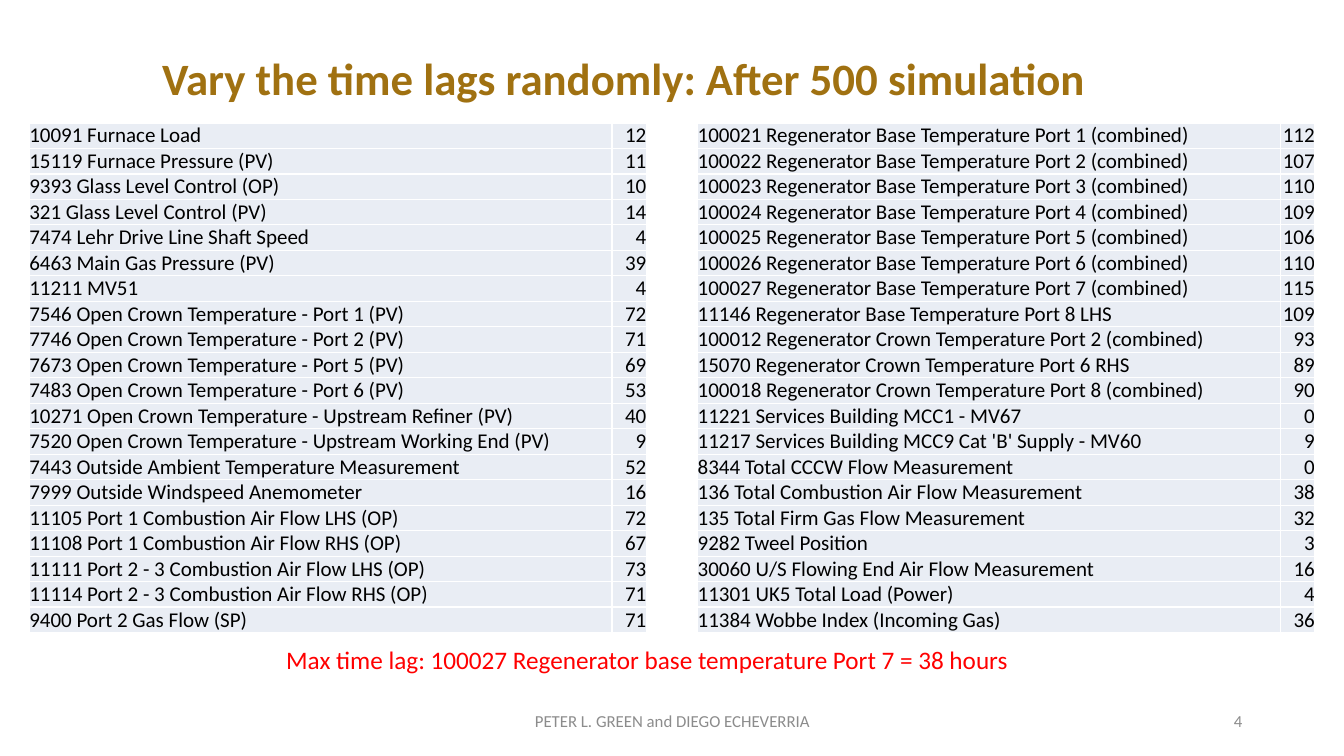
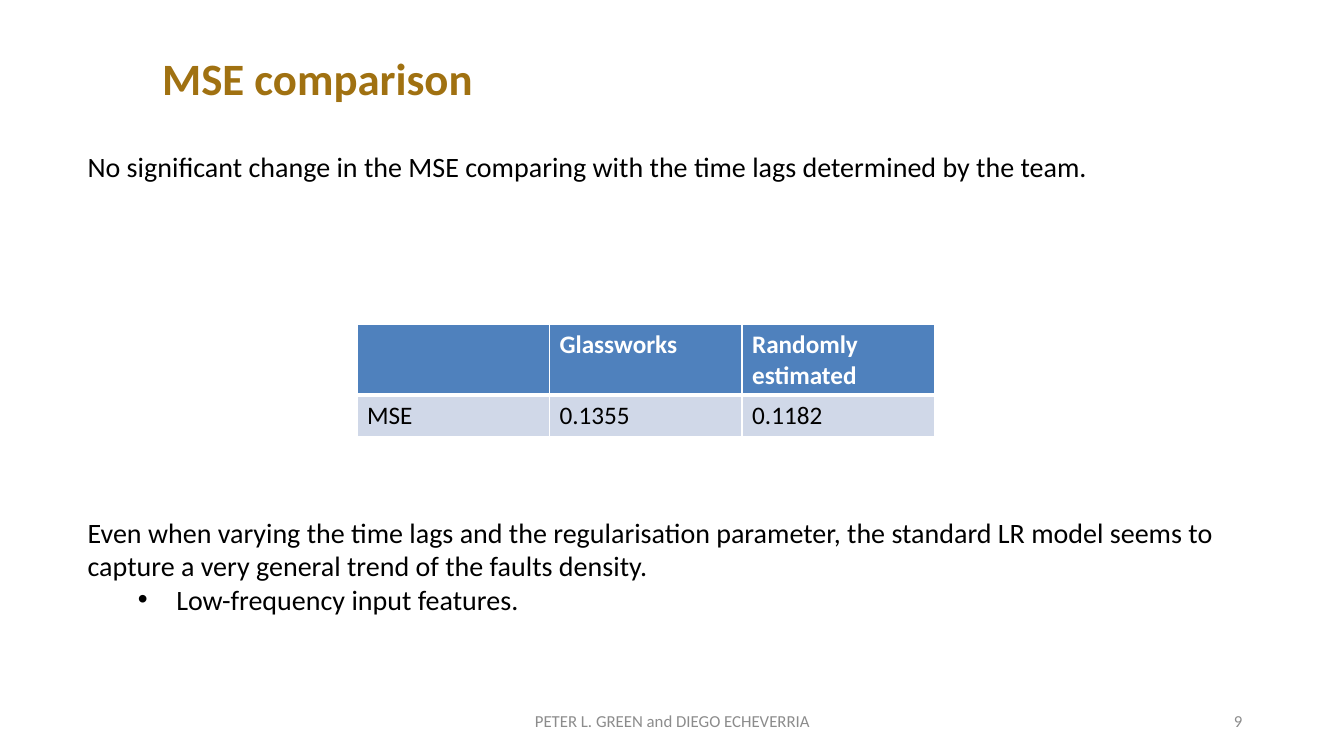
from lxml import etree
from pptx import Presentation
from pptx import util as u
from pptx.dml.color import RGBColor
from pptx.enum import text
from pptx.oxml.ns import qn

FONT = "Calibri"
COLORS = {
    "title": "A07111", "body": "000000", "footer": "8C8C8C", "alert": "FF0000",
    "white": "FFFFFF", "lag": "E9EDF4", "header": "4F81BD", "row": "D0D8E8",
}
LEFT, CENTER, RIGHT = text.PP_ALIGN.LEFT, text.PP_ALIGN.CENTER, text.PP_ALIGN.RIGHT
TOP, MIDDLE, BOTTOM = (text.MSO_ANCHOR.TOP, text.MSO_ANCHOR.MIDDLE,
                       text.MSO_ANCHOR.BOTTOM)

AUTHORS = "PETER L. GREEN and DIEGO ECHEVERRIA"
LAGS = [
    ("10091 Furnace Load", 12),
    ("15119 Furnace Pressure (PV)", 11),
    ("9393 Glass Level Control (OP)", 10),
    ("321 Glass Level Control (PV)", 14),
    ("7474 Lehr Drive Line Shaft Speed", 4),
    ("6463 Main Gas Pressure (PV)", 39),
    ("11211 MV51", 4),
    ("7546 Open Crown Temperature - Port 1 (PV)", 72),
    ("7746 Open Crown Temperature - Port 2 (PV)", 71),
    ("7673 Open Crown Temperature - Port 5 (PV)", 69),
    ("7483 Open Crown Temperature - Port 6 (PV)", 53),
    ("10271 Open Crown Temperature - Upstream Refiner (PV)", 40),
    ("7520 Open Crown Temperature - Upstream Working End (PV)", 9),
    ("7443 Outside Ambient Temperature Measurement", 52),
    ("7999 Outside Windspeed Anemometer", 16),
    ("11105 Port 1 Combustion Air Flow LHS (OP)", 72),
    ("11108 Port 1 Combustion Air Flow RHS (OP)", 67),
    ("11111 Port 2 - 3 Combustion Air Flow LHS (OP)", 73),
    ("11114 Port 2 - 3 Combustion Air Flow RHS (OP)", 71),
    ("9400 Port 2 Gas Flow (SP)", 71),
    ("100021 Regenerator Base Temperature Port 1 (combined)", 112),
    ("100022 Regenerator Base Temperature Port 2 (combined)", 107),
    ("100023 Regenerator Base Temperature Port 3 (combined)", 110),
    ("100024 Regenerator Base Temperature Port 4 (combined)", 109),
    ("100025 Regenerator Base Temperature Port 5 (combined)", 106),
    ("100026 Regenerator Base Temperature Port 6 (combined)", 110),
    ("100027 Regenerator Base Temperature Port 7 (combined)", 115),
    ("11146 Regenerator Base Temperature Port 8 LHS", 109),
    ("100012 Regenerator Crown Temperature Port 2 (combined)", 93),
    ("15070 Regenerator Crown Temperature Port 6 RHS", 89),
    ("100018 Regenerator Crown Temperature Port 8 (combined)", 90),
    ("11221 Services Building MCC1 - MV67", 0),
    ("11217 Services Building MCC9 Cat 'B' Supply - MV60", 9),
    ("8344 Total CCCW Flow Measurement", 0),
    ("136 Total Combustion Air Flow Measurement", 38),
    ("135 Total Firm Gas Flow Measurement", 32),
    ("9282 Tweel Position", 3),
    ("30060 U/S Flowing End Air Flow Measurement", 16),
    ("11301 UK5 Total Load (Power)", 4),
    ("11384 Wobbe Index (Incoming Gas)", 36),
]
MSE = [("", "Glassworks", "Randomly estimated"), ("MSE", "0.1355", "0.1182")]
UNCHANGED = ("No significant change in the MSE comparing with the time lags "
             "determined by the team.")
TREND = ("Even when varying the time lags and the regularisation parameter, the "
         "standard LR model seems to capture a very general trend of the faults density.")


def write(paragraph, content, size=20, color="body", bold=False, align=LEFT):
    paragraph.alignment = align
    run = paragraph.add_run()
    run.text = content
    run.font.name = FONT
    run.font.size = u.Pt(size)
    run.font.bold = bold
    run.font.color.rgb = RGBColor.from_string(COLORS[color])


def add_text(slide, box, content, anchor=TOP, bullets=(), **style):
    frame = slide.shapes.add_textbox(*map(u.Inches, box)).text_frame
    frame.word_wrap = True
    frame.vertical_anchor = anchor
    write(frame.paragraphs[0], content, **style)
    for item in bullets:
        paragraph = frame.add_paragraph()
        paragraph.level = 1
        properties = paragraph._p.get_or_add_pPr()
        properties.set("marL", str(u.Inches(0.88)))
        properties.set("indent", str(u.Inches(-0.38)))
        etree.SubElement(properties, qn("a:buFont"), typeface="Arial")
        etree.SubElement(properties, qn("a:buChar"), char="•")
        write(paragraph, item, **style)


def format_cell(cell, content, fill, bottom=1, anchor=TOP, margin=None, **style):
    properties = cell._tc.get_or_add_tcPr()
    for side, width in (("L", 1), ("R", 1), ("T", 1), ("B", bottom)):
        line = etree.SubElement(properties, qn("a:ln" + side), w=str(u.Pt(width)))
        paint = etree.SubElement(line, qn("a:solidFill"))
        etree.SubElement(paint, qn("a:srgbClr"), val=COLORS["white"])
    cell.fill.solid()
    cell.fill.fore_color.rgb = RGBColor.from_string(COLORS[fill])
    cell.vertical_anchor = anchor
    if margin is not None:
        cell.margin_left = cell.margin_right = margin
        cell.margin_top = cell.margin_bottom = margin
    if content:
        write(cell.text_frame.paragraphs[0], content, **style)


def add_table(slide, left, top, widths, heights, rows, cell_format):
    table = slide.shapes.add_table(
        len(heights), len(widths), u.Inches(left), u.Inches(top),
        u.Inches(sum(widths)), u.Inches(sum(heights))).table
    table.horz_banding = False
    for column, width in zip(table.columns, widths):
        column.width = u.Inches(width)
    for r, (height, values) in enumerate(zip(heights, rows)):
        table.rows[r].height = u.Inches(height)
        for c, value in enumerate(values):
            format_cell(table.cell(r, c), str(value), **cell_format(r, c))


def lag_format(row, column):
    return dict(fill="lag", anchor=BOTTOM, margin=0, size=15,
                align=RIGHT if column else LEFT)


def mse_format(row, column):
    if row == 0:
        return dict(fill="header", bottom=3, size=18, color="white", bold=True)
    return dict(fill="row", size=18)


def add_slide(presentation, title, number):
    slide = presentation.slides.add_slide(presentation.slide_layouts[6])
    footer = dict(anchor=MIDDLE, size=12, color="footer")
    add_text(slide, (4.42, 6.95, 4.5, 0.4), AUTHORS, align=CENTER, **footer)
    add_text(slide, (9.42, 6.95, 3, 0.4), str(number), align=RIGHT, **footer)
    add_text(slide, (1.51, 0.45, 9.66, 0.64), title, size=32, color="title", bold=True)
    return slide


def main():
    presentation = Presentation()
    presentation.slide_width = u.Inches(13.33)
    presentation.slide_height = u.Inches(7.5)

    slide = add_slide(presentation, "Vary the time lags randomly: After 500 simulation", 4)
    half = len(LAGS) // 2
    for left, rows in ((0.29, LAGS[:half]), (6.92, LAGS[half:])):
        add_table(slide, left, 1.22, (5.78, 0.34), [5.06 / half] * half, rows, lag_format)
    add_text(slide, (2.74, 6.34, 8.42, 0.4),
             "Max time lag: 100027 Regenerator base temperature Port 7 = 38 hours",
             size=18, color="alert")

    slide = add_slide(presentation, "MSE comparison", 9)
    add_text(slide, (0.77, 1.43, 11.61, 0.44), UNCHANGED)
    add_table(slide, 3.54, 3.22, [1.91] * 3, (0.7, 0.41), MSE, mse_format)
    add_text(slide, (0.77, 5.06, 11.61, 1.11), TREND,
             bullets=["Low-frequency input features."])

    presentation.save("out.pptx")


if __name__ == "__main__":
    main()
